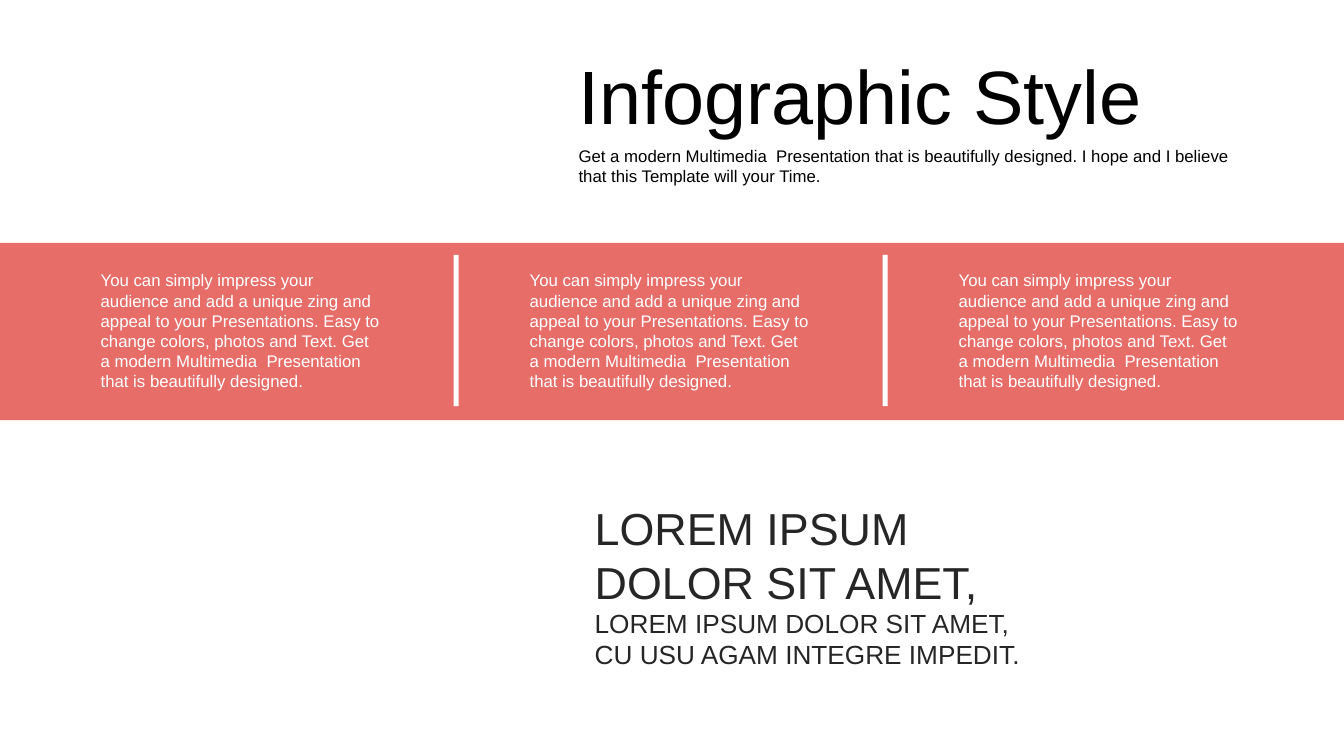
"""Build the infographic slide with a three-column band."""
from lxml.etree import SubElement
from pptx import Presentation
from pptx.dml.color import RGBColor
from pptx.enum.shapes import MSO_SHAPE
from pptx.enum.text import MSO_ANCHOR, MSO_AUTO_SIZE
from pptx.oxml.ns import qn
from pptx.util import Inches, Pt

BLACK = RGBColor(0x00, 0x00, 0x00)
DARK = RGBColor(0x26, 0x26, 0x26)
WHITE = RGBColor(0xFF, 0xFF, 0xFF)
RED = RGBColor(0xDE, 0x30, 0x2A)

INTRO = ("Get a modern Multimedia  Presentation that is beautifully designed. "
         "I hope and I believe that this Template will your Time.")
BODY = ("You can simply impress your audience and add a unique zing and appeal "
        "to your Presentations. Easy to change colors, photos and Text. "
        "Get a modern Multimedia  Presentation that is beautifully designed.")

deck = Presentation()
deck.slide_width = Inches(13.33)
deck.slide_height = Inches(7.5)
slide = deck.slides.add_slide(deck.slide_layouts[6])


def add_text(lines, left, top, width, height, size=12, color=BLACK,
             anchor=MSO_ANCHOR.TOP):
    box = slide.shapes.add_textbox(
        Inches(left), Inches(top), Inches(width), Inches(height))
    frame = box.text_frame
    frame.word_wrap = True
    frame.auto_size = MSO_AUTO_SIZE.SHAPE_TO_FIT_TEXT
    frame.vertical_anchor = anchor
    frame.text = lines
    for para in frame.paragraphs:
        font = para.runs[0].font
        font.name = "Arial"
        font.size = Pt(size)
        font.color.rgb = color


def add_bar(left, top, width, height, color):
    bar = slide.shapes.add_shape(
        MSO_SHAPE.RECTANGLE,
        Inches(left), Inches(top), Inches(width), Inches(height))
    bar.shadow.inherit = False
    bar.fill.solid()
    bar.fill.fore_color.rgb = color
    bar.line.fill.background()
    return bar


add_text("Infographic Style", 5.64, 0.43, 6.77, 1.01, size=54,
         anchor=MSO_ANCHOR.MIDDLE)
add_text(INTRO, 5.64, 1.4, 6.74, 0.5)

band = add_bar(0, 2.41, 13.33, 1.76, RED)
tint = band.fill._xPr.find(qn("a:solidFill")).find(qn("a:srgbClr"))
SubElement(tint, qn("a:alpha"), val="70000")

STEP = 4.255
for col in range(3):
    add_text(BODY, 0.9 + col * STEP, 2.63, 3, 1.31, color=WHITE)
for col in range(2):
    add_bar(4.5 + col * STEP, 2.53, 0.05, 1.5, WHITE)

add_text("LOREM IPSUM DOLOR SIT AMET,\nCU USU AGAM INTEGRE IMPEDIT.",
         5.8, 5.97, 6.57, 0.73, size=18.7, color=DARK,
         anchor=MSO_ANCHOR.MIDDLE)
add_text("LOREM IPSUM\nDOLOR SIT AMET,", 5.8, 4.91, 7.06, 1.18, size=32,
         color=DARK, anchor=MSO_ANCHOR.MIDDLE)

deck.save("out.pptx")
